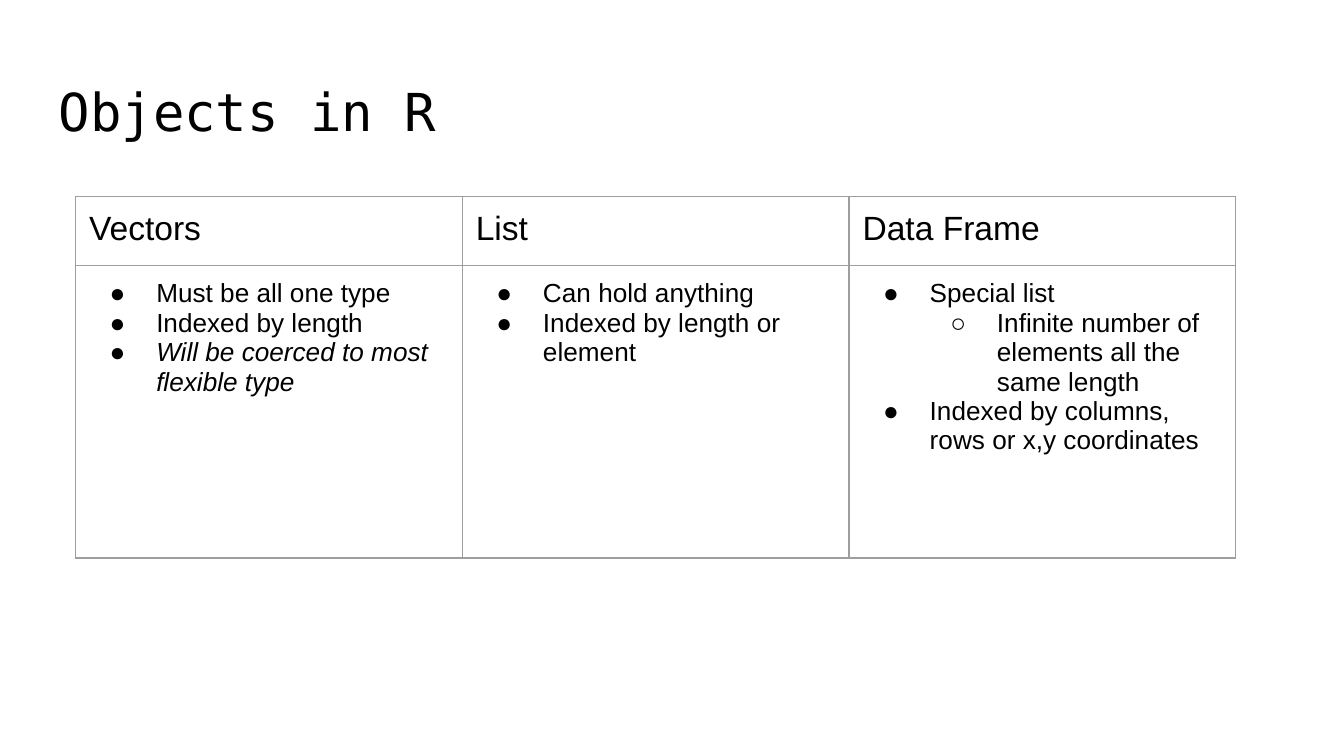
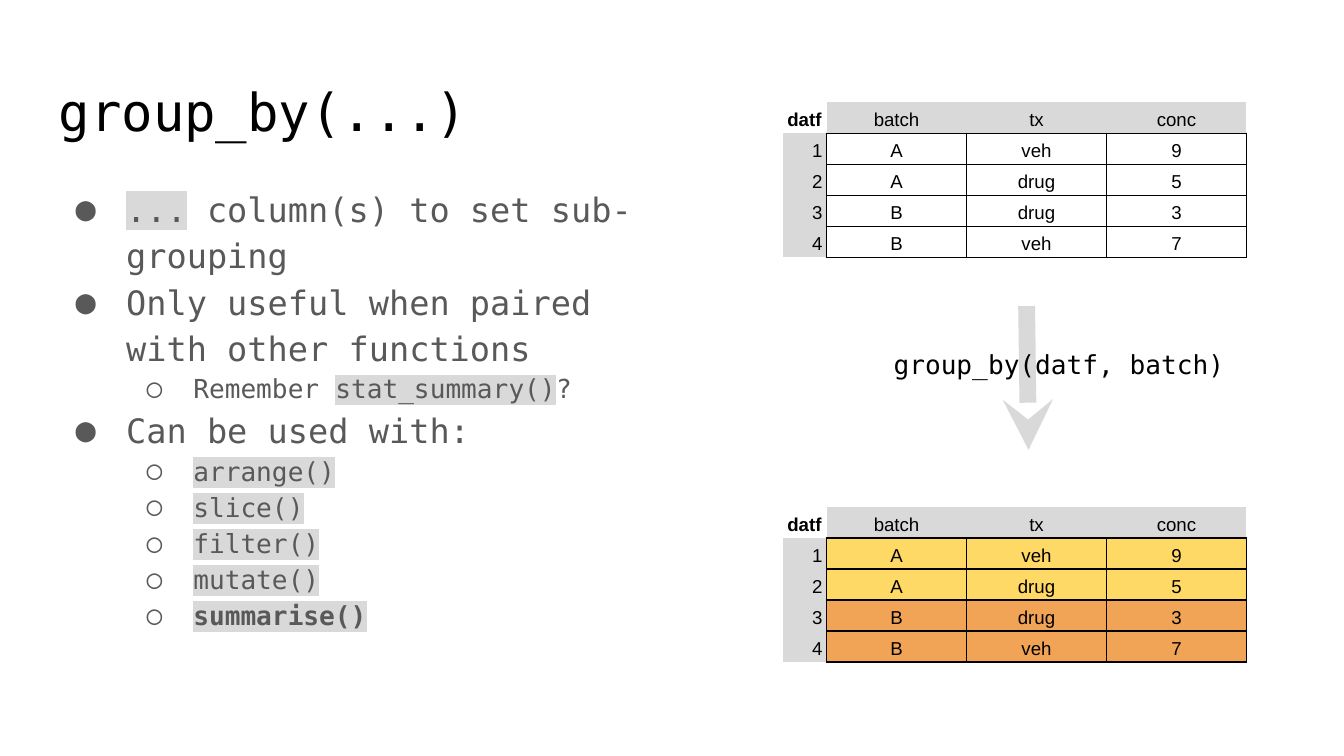
from lxml import etree
from pptx import Presentation
from pptx import util as u
from pptx.dml.color import RGBColor
from pptx.enum import shapes, text
from pptx.oxml import ns

Pt = u.Pt
BLACK = RGBColor(0x00, 0x00, 0x00)
BODY = RGBColor(0x59, 0x59, 0x59)
RULE = RGBColor(0x9E, 0x9E, 0x9E)
SHADE = RGBColor(0xD9, 0xD9, 0xD9)
YELLOW = RGBColor(0xFF, 0xD9, 0x66)
ORANGE = RGBColor(0xF1, 0xA4, 0x55)
SANS, MONO = "Arial", "DejaVu Sans Mono"
ALIGN = {"l": text.PP_ALIGN.LEFT, "c": text.PP_ALIGN.CENTER, "r": text.PP_ALIGN.RIGHT}


def sub(parent, tag, **attrs):
    return etree.SubElement(parent, ns.qn("a:" + tag), attrs)


def sub_color(parent, color):
    sub(parent, "srgbClr", val=str(color))


class Deck:
    """Holds the shared style and the current slide, and draws elements on it."""

    def __init__(self):
        self.prs = Presentation()
        self.prs.slide_width, self.prs.slide_height = Pt(720), Pt(405)
        self.s = None

    def slide(self, title):
        self.s = self.prs.slides.add_slide(self.prs.slide_layouts[6])
        self.label(title, 24.5, 35, 671, 45, 28)

    def box(self, x, y, w, h):
        tf = self.s.shapes.add_textbox(Pt(x), Pt(y), Pt(w), Pt(h)).text_frame
        tf.word_wrap = True
        self.insets(tf, 7.2, 7.2)
        return tf

    def insets(self, target, side, end):
        target.margin_left = target.margin_right = Pt(side)
        target.margin_top = target.margin_bottom = Pt(end)

    def style(self, r, size, font, color, bold=False, italic=False):
        r.font.size, r.font.name = Pt(size), font
        r.font.bold, r.font.italic = bold, italic
        r.font.color.rgb = color

    def highlight(self, r):
        mark = etree.Element(ns.qn("a:highlight"))
        sub_color(mark, SHADE)
        r.font._element.find(ns.qn("a:solidFill")).addnext(mark)

    def label(self, words, x, y, w, h, size):
        p = self.box(x, y, w, h).paragraphs[0]
        p.text = words
        self.style(p.runs[0], size, MONO, BLACK)

    def bullets(self, tf, items, sizes, font, color, spacing=1.0):
        for i, (level, words, *flags) in enumerate(items):
            p = tf.add_paragraph() if i else tf.paragraphs[0]
            size = sizes[level]
            p.level, p.line_spacing = level, spacing
            pPr = p._p.get_or_add_pPr()
            pPr.set("marL", str(Pt(36 * (level + 1))))
            pPr.set("indent", str(-Pt(18 + size / 2)))
            sub_color(sub(pPr, "buClr"), color)
            sub(pPr, "buFont", typeface=font)
            sub(pPr, "buChar", char="●○"[level])
            for n, part in enumerate(words.split("`")):
                if part:
                    r = p.add_run()
                    r.text = part
                    self.style(r, size, font, color, "bold" in flags, "italic" in flags)
                    if n % 2:
                        self.highlight(r)

    def table(self, x, y, widths, heights):
        gf = self.s.shapes.add_table(len(heights), len(widths), Pt(x), Pt(y),
                                     Pt(sum(widths)), Pt(sum(heights)))
        tbl = gf.table
        tbl.first_row = tbl.horz_banding = False
        for col, w in zip(tbl.columns, widths):
            col.width = Pt(w)
        for row, h in zip(tbl.rows, heights):
            row.height = Pt(h)
        return tbl

    def frame(self, cell, color, sides="LRTB", fill=None):
        tcPr = cell._tc.get_or_add_tcPr()
        for side in "LRTB":
            ln = sub(tcPr, "ln" + side, w=str(Pt(0.75)))
            if side in sides:
                sub_color(sub(ln, "solidFill"), color)
            else:
                sub(ln, "noFill")
        if fill is None:
            cell.fill.background()
        else:
            cell.fill.solid()
            cell.fill.fore_color.rgb = fill

    def comparison(self, x, y, columns):
        tbl = self.table(x, y, [207.2] * len(columns), [37.2, 156.6])
        for c, (head, items) in enumerate(columns.items()):
            for cell in (tbl.cell(0, c), tbl.cell(1, c)):
                self.insets(cell, 7.2, 7.2)
                self.frame(cell, RULE)
            p = tbl.cell(0, c).text_frame.paragraphs[0]
            p.text = head
            self.style(p.runs[0], 18, SANS, BLACK)
            self.bullets(tbl.cell(1, c).text_frame, items, (14, 14), SANS, BLACK)

    def data_frame(self, x, y, rows, fills):
        tbl = self.table(x, y, [23.2] + [75] * 3, [15.8] * len(rows))
        for i, row in enumerate(rows):
            for j, value in enumerate(row):
                if i and j:
                    sides, fill, align = "LRTB", fills.get(row[1]), "c"
                elif i:
                    sides, fill, align = "R", SHADE, "r"
                elif j:
                    sides, fill, align = "B", SHADE, "c"
                else:
                    sides, fill, align = "", None, "l"
                cell = tbl.cell(i, j)
                self.insets(cell, 2.2, 1.4)
                cell.vertical_anchor = text.MSO_ANCHOR.BOTTOM
                self.frame(cell, BLACK, sides, fill)
                p = cell.text_frame.paragraphs[0]
                p.text = value
                p.alignment, p.line_spacing = ALIGN[align], 1.15
                self.style(p.runs[0], 10, SANS, BLACK, bold=not (i or j))

    def arrow(self, x1, y1, x2, y2):
        sp = self.s.shapes.add_connector(shapes.MSO_CONNECTOR.STRAIGHT,
                                         Pt(x1), Pt(y1), Pt(x2), Pt(y2))
        sp.line.width = Pt(9)
        sp.line.color.rgb = SHADE
        sub(sp.line._get_or_add_ln(), "tailEnd", type="stealth")
        sub(sp._element.spPr, "effectLst")


def main():
    deck = Deck()
    deck.slide("Objects in R")
    deck.comparison(40.5, 105.2, {
        "Vectors": [(0, "Must be all one type"),
                    (0, "Indexed by length"),
                    (0, "Will be coerced to most flexible type", "italic")],
        "List": [(0, "Can hold anything"),
                 (0, "Indexed by length or element")],
        "Data Frame": [(0, "Special list"),
                       (1, "Infinite number of elements all the same length"),
                       (0, "Indexed by columns, rows or x,y coordinates")],
    })

    deck.slide("group_by(...)")
    usage = [(0, "`...` column(s) to set sub-grouping"),
             (0, "Only useful when paired with other functions"),
             (1, "Remember `stat_summary()`?"),
             (0, "Can be used with:")]
    usage += [(1, f"`{verb}()`") for verb in ("arrange", "slice", "filter", "mutate")]
    usage.append((1, "`summarise()`", "bold"))
    deck.bullets(deck.box(24.5, 90.7, 335.5, 281), usage, (18, 14), MONO, BODY, 1.15)

    rows = [("datf", "batch", "tx", "conc"),
            ("1", "A", "veh", "9"),
            ("2", "A", "drug", "5"),
            ("3", "B", "drug", "3"),
            ("4", "B", "veh", "7")]
    deck.arrow(550, 164, 551, 241)
    deck.data_frame(419.6, 54.7, rows, {})
    deck.label("group_by(datf, batch)", 471.6, 179.3, 248.4, 46.8, 14)
    deck.data_frame(419.6, 271.6, rows, {"A": YELLOW, "B": ORANGE})
    deck.prs.save("out.pptx")


if __name__ == "__main__":
    main()
